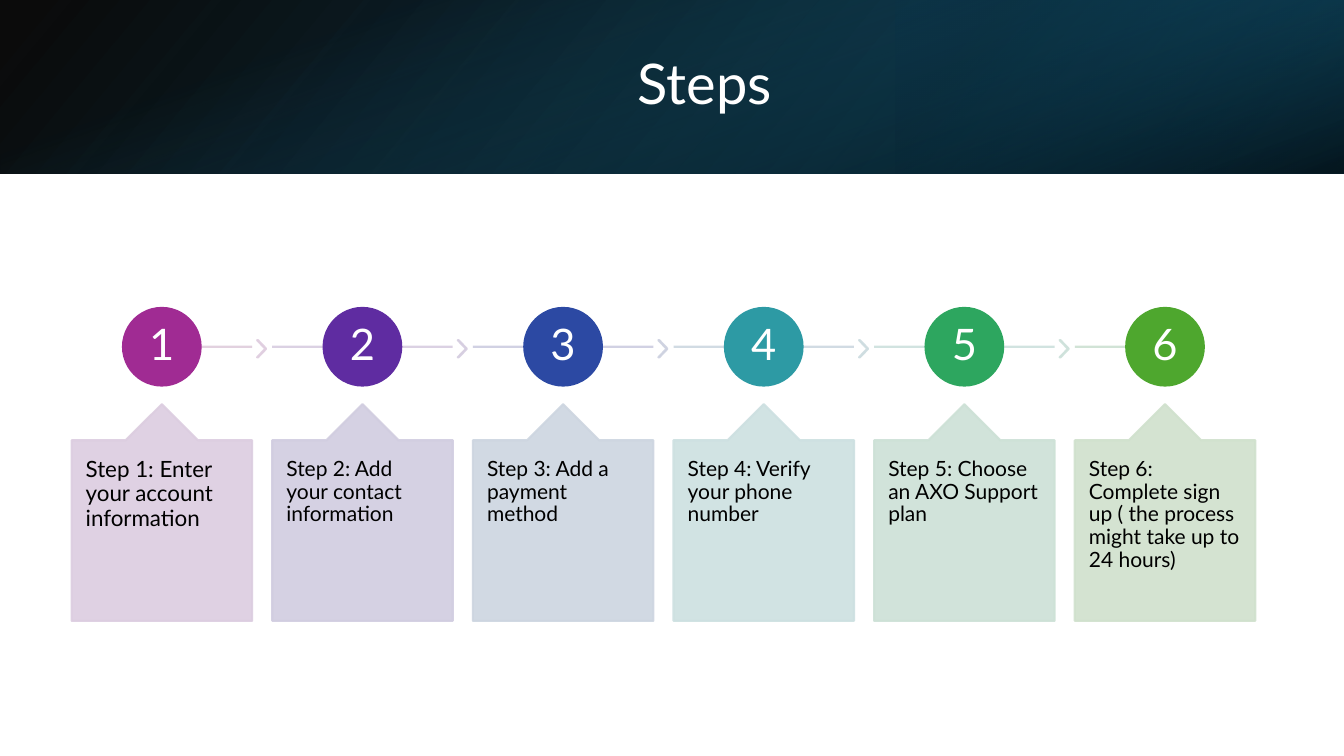
"""Build a slide with six numbered sign-up steps under a gradient header."""
import pptx
import pptx.dml.color
import pptx.enum.shapes
import pptx.enum.text
import pptx.oxml.ns
import pptx.util
from lxml import etree

Inches, Pt = pptx.util.Inches, pptx.util.Pt
SHAPE = pptx.enum.shapes.MSO_SHAPE
ALIGN = pptx.enum.text.PP_ALIGN
ANCHOR = pptx.enum.text.MSO_ANCHOR
qn = pptx.oxml.ns.qn

TITLE = "Steps"
STEPS = [
    ("Step 1: Enter your account information", 16),
    ("Step 2: Add your contact information", 15),
    ("Step 3: Add a payment method", 15),
    ("Step 4: Verify your phone number", 15),
    ("Step 5: Choose an AXO Support plan", 15),
    ("Step 6: Complete sign up ( the process might take up to 24 hours)", 15),
]
COLORS = {
    "white": "FFFFFF",
    "text": "000000",
    "black": "000000",
    "navy": "104862",
    "deep": "0B3041",
    "teal": "156082",
    "circles": ["A02B93", "5F2CA1", "2C49A3", "2D9AA4", "2DA65F", "4EA72E"],
    "lines": ["DFCDDC", "D8CDE0", "CDCDE0", "CDD8E0", "CDE1DD", "CDE1D2"],
    "chevrons": ["DFCDDF", "D5CDE0", "CDD1E0", "CDDCE0", "CDE1DA"],
    "cards": ["DCCDE0", "D1CDE0", "CDD5E0", "CDE0E1", "CDE1D6", "D0E1CD"],
}
FONT = "Lato"
WIDTH, HEIGHT = 13.33, 7.5
HEADER = 1.72
HEADER_LAYERS = [
    ((0, 0, WIDTH, HEADER), 0, True, 140,
     [(0, "black", 96), (1, "navy", 100)]),
    ((WIDTH * 2 / 3, 0, WIDTH / 3, HEADER), 180, True, 320,
     [(0.19, "deep", 68), (1, "teal", 79)]),
    (((WIDTH - HEADER) / 2, (HEADER - WIDTH) / 2, HEADER, WIDTH), 90, False, 340,
     [(0.23, "teal", 0), (0.99, "black", 74)]),
]
LEFT, PITCH, CARD = 0.71, 1.99, 1.79
CARD_TOP, CARD_HEIGHT = 4.01, 2.15
CIRCLE, AXIS = 0.77, 3.44
CHEVRON_WIDTH, CHEVRON_HEIGHT = 0.09, 0.17
SOFT = 90


def rgb(value):
    return pptx.dml.color.RGBColor.from_string(value)


def set_opacity(color_element, percent):
    etree.SubElement(color_element, qn("a:alpha"), val=str(percent * 1000))


def soften(shape):
    for color_element in shape.element.spPr.iter(qn("a:srgbClr")):
        set_opacity(color_element, SOFT)


def add_shape(page, kind, place, color, adjustments=()):
    shape = page.shapes.add_shape(kind, *map(Inches, place))
    shape.shadow.inherit = False
    for index, value in enumerate(adjustments):
        shape.adjustments[index] = value
    shape.fill.solid()
    shape.fill.fore_color.rgb = rgb(color)
    shape.line.color.rgb = rgb(color)
    shape.line.width = Pt(1.5)
    return shape


def write(shape, text, size, color, align, anchor, margins):
    frame = shape.text_frame
    frame.word_wrap = True
    frame.vertical_anchor = anchor
    if margins:
        frame.margin_left = frame.margin_right = Inches(margins[0])
        frame.margin_top = frame.margin_bottom = Inches(margins[1])
    para = frame.paragraphs[0]
    para.text = text
    para.alignment = align
    para.line_spacing = 0.9
    para.font.name = FONT
    para.font.size = Pt(size)
    para.font.color.rgb = rgb(color)


def add_header_layer(page, place, rotation, flipped, angle, stops):
    layer = page.shapes.add_shape(SHAPE.RECTANGLE, *map(Inches, place))
    layer.shadow.inherit = False
    layer.line.fill.background()
    layer.rotation = rotation
    if flipped:
        layer.element.spPr.find(qn("a:xfrm")).set("flipH", "1")
    layer.fill.gradient()
    layer.fill.gradient_angle = 360 - angle
    for stop, (position, color, _) in zip(layer.fill.gradient_stops, stops):
        stop.position = position
        stop.color.rgb = rgb(COLORS[color])
    elements = layer.element.spPr.iter(qn("a:srgbClr"))
    for color_element, (_, _, percent) in zip(elements, stops):
        set_opacity(color_element, percent)


def add_line(page, start, end, color):
    line = page.shapes.add_connector(
        pptx.enum.shapes.MSO_CONNECTOR.STRAIGHT,
        Inches(start), Inches(AXIS), Inches(end), Inches(AXIS))
    line.line.color.rgb = rgb(color)
    line.line.width = Pt(1.5)
    etree.SubElement(line.element.spPr, qn("a:effectLst"))
    soften(line)


def add_step(page, index, text, size):
    left = LEFT + index * PITCH
    center = left + CARD / 2
    first, last = index == 0, index == len(STEPS) - 1
    add_line(page, center if first else left, center if last else left + CARD,
             COLORS["lines"][index])
    if not last:
        soften(add_shape(
            page, SHAPE.CHEVRON,
            (left + CARD + 0.05, AXIS + 0.02 - CHEVRON_HEIGHT / 2,
             CHEVRON_WIDTH, CHEVRON_HEIGHT),
            COLORS["chevrons"][index], [0.9]))
    circle = add_shape(
        page, SHAPE.OVAL,
        (center - CIRCLE / 2, AXIS - CIRCLE / 2, CIRCLE, CIRCLE),
        COLORS["circles"][index])
    write(circle, str(index + 1), 31, COLORS["white"], ALIGN.CENTER,
          ANCHOR.MIDDLE, (0.03, 0.03))
    card = add_shape(
        page, SHAPE.UP_ARROW_CALLOUT, (left, CARD_TOP, CARD, CARD_HEIGHT),
        COLORS["cards"][index], [0.5, 0.2, 0.2, 1])
    soften(card)
    write(card, text, size, COLORS["text"], ALIGN.LEFT, ANCHOR.TOP, (0.14, 0.18))


def main():
    deck = pptx.Presentation()
    deck.slide_width, deck.slide_height = Inches(WIDTH), Inches(HEIGHT)
    page = deck.slides.add_slide(deck.slide_layouts.get_by_name("Title Only"))
    for layer in HEADER_LAYERS:
        add_header_layer(page, *layer)
    title = page.shapes.title
    title.left, title.top, title.width, title.height = map(
        Inches, (1.5, 0.38, 10.98, 0.96))
    write(title, TITLE, 40, COLORS["white"], ALIGN.CENTER, ANCHOR.MIDDLE, None)
    title.element.getparent().append(title.element)
    for index, (text, size) in enumerate(STEPS):
        add_step(page, index, text, size)
    deck.save("out.pptx")


if __name__ == "__main__":
    main()
